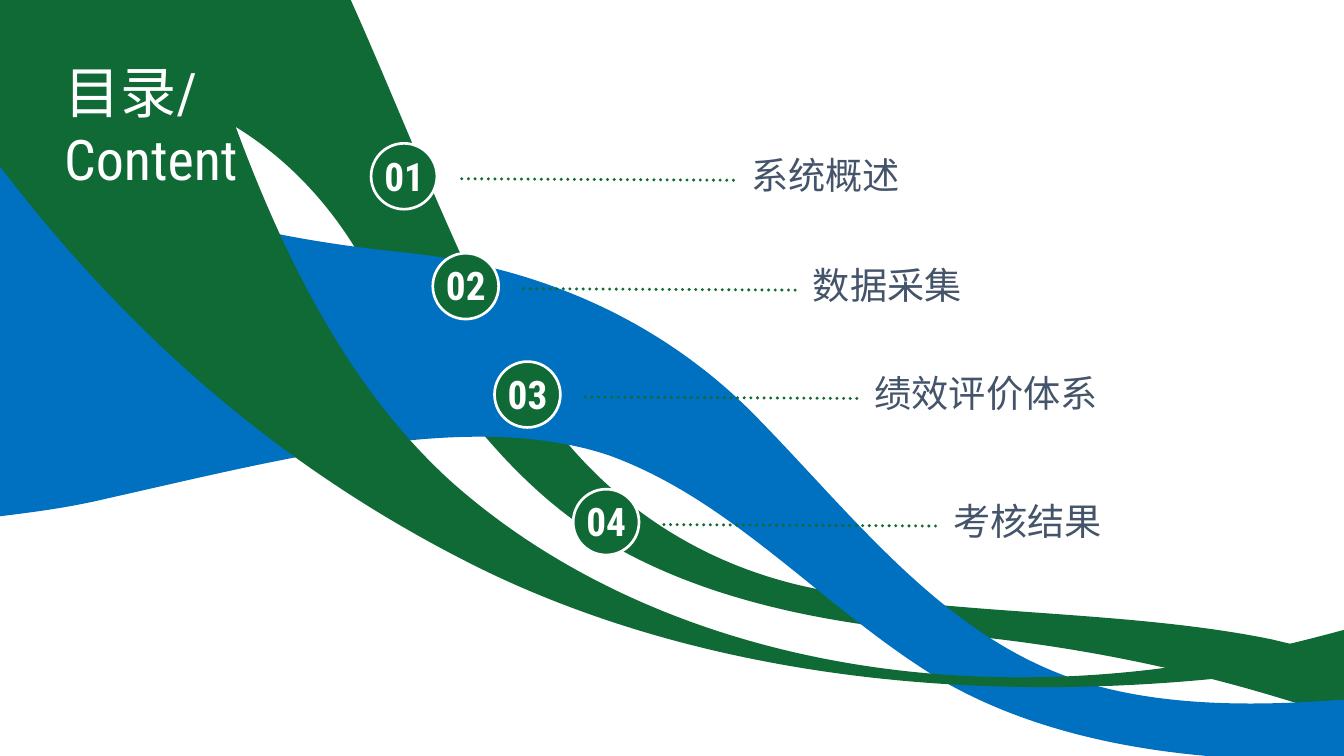
import pptx
import pptx.dml.color
import pptx.enum.dml
import pptx.enum.shapes
import pptx.enum.text
import pptx.oxml.ns
import pptx.util
from lxml import etree

Cm = pptx.util.Cm
Pt = pptx.util.Pt
RGBColor = pptx.dml.color.RGBColor
Align = pptx.enum.text.PP_ALIGN
qn = pptx.oxml.ns.qn

GREEN = RGBColor(0x10, 0x6A, 0x36)
BLUE = RGBColor(0x00, 0x70, 0xC0)
SLATE = RGBColor(0x44, 0x54, 0x6A)
WHITE = RGBColor(0xFF, 0xFF, 0xFF)

CHINESE_FONT = "Noto Sans CJK SC"
NUMBER_FONT = "Roboto Condensed"
ITEM_FONT = "Calibri"

DISC = 1.75

# Ribbon outlines in cm: pairs are straight steps, sixes are Bézier steps
BACK_RIBBON = [
    (33.78, 16.99),
    (29.95, 16.21, 25.5, 16.36, 21.69, 15.65),
    (17.81, 14.88, 14.94, 12.42, 13.31, 9.04),
    (11.66, 5.66, 10.44, 2.49, 9.32, 0),
    (0, 0, 0, 0, 0, 0),
    (0, 2.31, 0, 2.31, 0, 2.31),
    (3.48, 1.52, 7.16, 3.02, 9.35, 6.45),
    (11.05, 9.19, 12.83, 12.17, 15.52, 14.02),
    (18.06, 15.75, 21.41, 16.51, 24.79, 16.81),
    (28.91, 17.15, 32.46, 17.98, 35.71, 19.1),
    (35.71, 17.48, 35.71, 17.48, 35.71, 17.48),
    (35.1, 17.3, 34.44, 17.15, 33.78, 16.99),
]
MIDDLE_RIBBON = [
    (28.3, 17.96),
    (24.94, 16.71, 22.68, 13.72, 20.12, 11.1),
    (17.65, 8.56, 14.38, 7.09, 10.74, 6.71),
    (6.25, 6.25, 2.49, 5.21, 0, 2.87),
    (0, 13.72, 0, 13.72, 0, 13.72),
    (0.89, 13.61, 1.83, 13.49, 2.79, 13.26),
    (7.44, 12.22, 12.45, 10.87, 16.15, 12.09),
    (19.43, 13.26, 21.79, 16.08, 24.82, 17.96),
    (27.76, 19.74, 31.67, 20.32, 35.71, 20.17),
    (35.71, 18.59, 35.71, 18.59, 35.71, 18.59),
    (33.02, 18.8, 30.45, 18.75, 28.3, 17.96),
]
FRONT_RIBBON = [
    (30.71, 17.78),
    (23.22, 18.69, 16.41, 16.74, 11.99, 12.8),
    (8.66, 9.78, 6.73, 5.18, 5.13, 0),
    (0, 0, 0, 0, 0, 0),
    (0, 4.42, 0, 4.42, 0, 4.42),
    (3.45, 8.94, 7.57, 12.55, 12.83, 15.14),
    (19.05, 18.16, 27.15, 19.02, 35.71, 17.58),
    (35.71, 16.74, 35.71, 16.74, 35.71, 16.74),
    (34.01, 17.2, 32.33, 17.58, 30.71, 17.78),
]

# Topic, disc left, disc top, label width
TOPICS = [
    ("系统概述", 9.86, 3.81, 9.12),
    ("数据采集", 11.5, 6.73, 10.54),
    ("绩效评价体系", 13.14, 9.61, 7.77),
    ("考核结果", 15.23, 13, 7.95),
]


class ContentsSlide:
    def __init__(self, presentation):
        self.slide = presentation.slides.add_slide(presentation.slide_layouts[5])
        self.shapes = self.slide.shapes

    def ribbon(self, steps, color):
        start, *curves = steps
        builder = self.shapes.build_freeform(Cm(start[0]), Cm(start[1]))
        builder.add_line_segments(
            [(Cm(curve[i]), Cm(curve[i + 1])) for curve in curves for i in (0, 2, 4)],
            close=True)
        ribbon = builder.convert_to_shape()
        ribbon.shadow.inherit = False
        ribbon.fill.solid()
        ribbon.fill.fore_color.rgb = color
        ribbon.line.fill.background()
        # Join every three points into one Bézier step
        lines = list(ribbon._element.iter(qn("a:lnTo")))
        for i in range(0, len(lines), 3):
            bezier = etree.Element(qn("a:cubicBezTo"))
            lines[i].addprevious(bezier)
            for line in lines[i:i + 3]:
                bezier.append(line[0])
                line.getparent().remove(line)

    def set_font(self, font, name, size, color, bold=False):
        font.name, font.size, font.bold = name, Pt(size), bold
        font.color.rgb = color

    def set_chinese_font(self, run):
        east_asian = etree.SubElement(run.font._element, qn("a:ea"))
        east_asian.set("typeface", CHINESE_FONT)

    def text(self, shapes, words, left, top, width, height, align=Align.LEFT):
        box = shapes.add_textbox(Cm(left), Cm(top), Cm(width), Cm(height))
        box.text_frame.word_wrap = True
        box.text_frame.auto_size = pptx.enum.text.MSO_AUTO_SIZE.SHAPE_TO_FIT_TEXT
        paragraph = box.text_frame.paragraphs[0]
        paragraph.text = words
        paragraph.alignment = align
        return paragraph

    def leader(self, shapes, left, top, length, drop):
        leader = shapes.add_connector(
            pptx.enum.shapes.MSO_CONNECTOR.STRAIGHT,
            Cm(left), Cm(top), Cm(left + length), Cm(top + drop))
        leader.line.color.rgb = GREEN
        leader.line.width = Pt(2.5)
        leader.line.dash_style = pptx.enum.dml.MSO_LINE.ROUND_DOT
        leader._element.spPr.find(qn("a:ln")).set("cap", "rnd")
        etree.SubElement(leader._element.spPr, qn("a:effectLst"))

    def disc(self, shapes, left, top):
        disc = shapes.add_shape(pptx.enum.shapes.MSO_SHAPE.OVAL,
                                Cm(left), Cm(top), Cm(DISC), Cm(DISC))
        disc.shadow.inherit = False
        disc.fill.solid()
        disc.fill.fore_color.rgb = GREEN
        disc.line.color.rgb = WHITE
        disc.line.width = Pt(2)

    def topic(self, number, name, left, top, label_width):
        entry = self.shapes.add_group_shape().shapes
        label = self.text(entry, name, left + 9.85, top + 0.12, label_width, 1.45)
        self.set_font(label.font, ITEM_FONT, 28, SLATE)
        self.set_chinese_font(label.runs[0])
        self.leader(entry, left + 2.41, top + 0.94, 7.38, 0.04)
        self.disc(entry, left, top)
        numeral = self.text(self.shapes, f"{number:02}", left - 0.11, top + 0.1,
                            1.98, 1.52, Align.CENTER)
        self.set_font(numeral.font, NUMBER_FONT, 29.6, WHITE, bold=True)

    def title(self, chinese, english, left, top, width, height):
        heading = self.shapes.title
        heading.left, heading.top = Cm(left), Cm(top)
        heading.width, heading.height = Cm(width), Cm(height)
        frame = heading.text_frame
        frame.word_wrap = True
        frame.auto_size = pptx.enum.text.MSO_AUTO_SIZE.SHAPE_TO_FIT_TEXT
        frame.vertical_anchor = pptx.enum.text.MSO_ANCHOR.TOP
        paragraph = frame.paragraphs[0]
        paragraph.alignment = Align.LEFT
        for words, font_name in ((chinese, CHINESE_FONT), (english, NUMBER_FONT)):
            run = paragraph.add_run()
            run.text = words
            self.set_font(run.font, font_name, 42.2, WHITE)
            self.set_chinese_font(run)
        # Bring the title in front of the ribbons
        heading._element.getparent().append(heading._element)


def main():
    presentation = pptx.Presentation()
    presentation.slide_width, presentation.slide_height = Cm(35.71), Cm(20.09)
    contents = ContentsSlide(presentation)

    # Ribbons, back to front
    contents.ribbon(BACK_RIBBON, GREEN)
    contents.ribbon(MIDDLE_RIBBON, BLUE)
    contents.ribbon(FRONT_RIBBON, GREEN)

    # Numbered topics
    for number, topic in enumerate(TOPICS, start=1):
        contents.topic(number, *topic)

    # Title
    contents.title("目录", "/Content", 1.45, 1.39, 8.15, 2.06)

    presentation.save("out.pptx")


if __name__ == "__main__":
    main()
